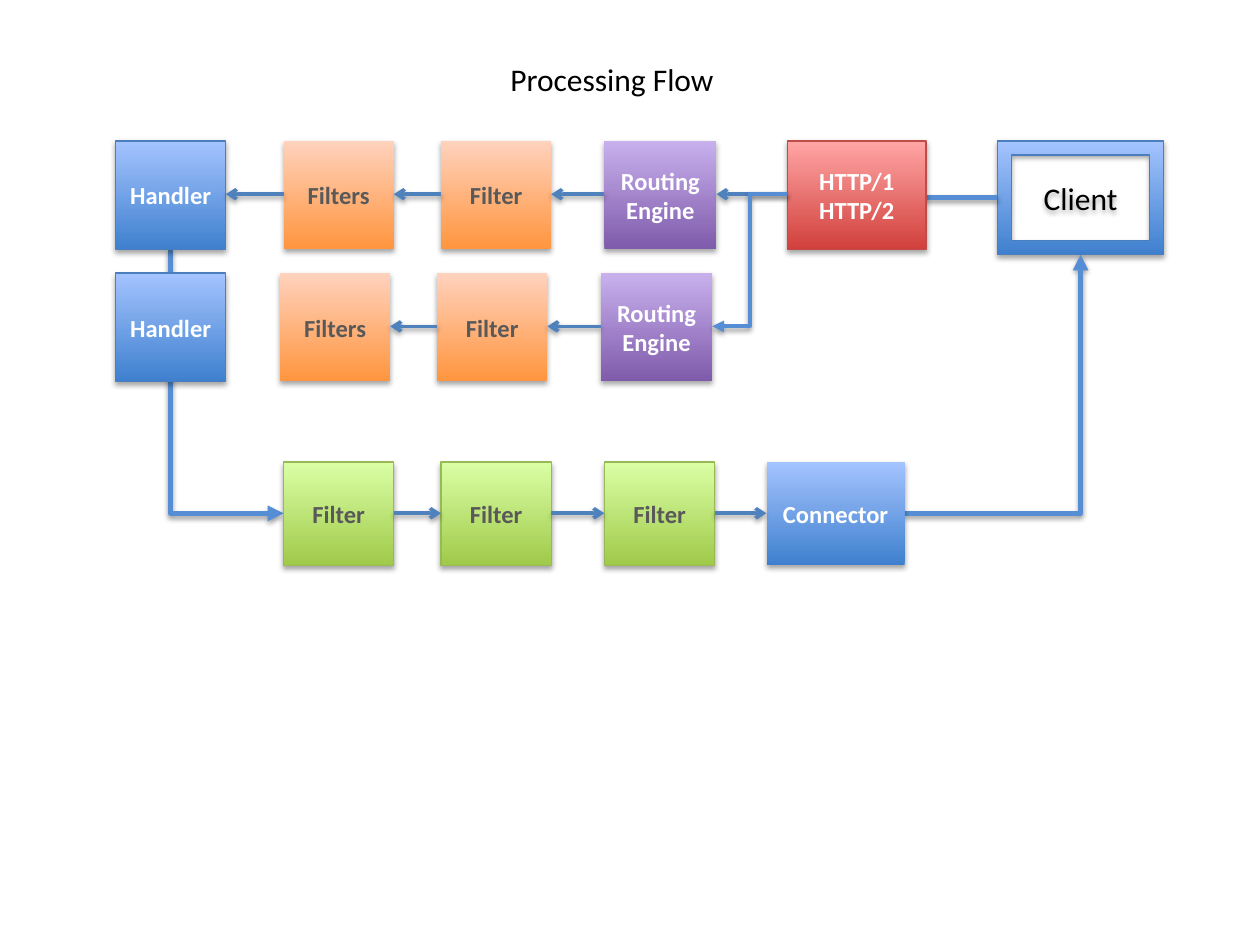
import pptx
import pptx.util
import pptx.dml.color
import pptx.enum.shapes
import pptx.enum.text
import pptx.oxml
import pptx.oxml.ns

Pt = pptx.util.Pt
SHAPE = pptx.enum.shapes.MSO_SHAPE
CONNECTOR = pptx.enum.shapes.MSO_CONNECTOR

THEME = {
    "font": "Calibri", "title_size": 18, "box_size": 14, "box_line": 0.75,
    "black": "000000", "arrow": "4F81BD", "route": "558ED5",
    # kind: bottom colour, top colour, outline, text colour
    "blue": ("3F80CE", "A4C4FF", "4B7EBC", "FFFFFF"),
    "plain_blue": ("3F80CE", "A4C4FF", None, "FFFFFF"),
    "orange": ("FF953E", "FFD2BD", None, "595959"),
    "purple": ("7F5BAB", "C8B0ED", None, "FFFFFF"),
    "red": ("D1403C", "FFA6A5", "BF4C48", "FFFFFF"),
    "green": ("A0CA4A", "DAFFA5", "98B955", "595959"),
}

TITLE = "Processing Flow"
CLIENT = ("Client", 570, 80.5, 95, 65)

# Each lane: top, box height, arrow height, flow direction, boxes (text, kind, left, width)
LANES = [
    (80.5, 62, 111, "left", [
        ("Handler", "blue", 66, 63), ("Filters", "orange", 162, 63),
        ("Filter", "orange", 252, 63), ("Routing\nEngine", "purple", 345.4, 64),
        ("HTTP/1\nHTTP/2", "red", 450, 79.2)]),
    (156, 62, 186.5, "left", [
        ("Filters", "orange", 160, 63), ("Filter", "orange", 249.8, 63),
        ("Routing\nEngine", "purple", 343.2, 64)]),
    (156, 62, 186.5, "left", [("Handler", "blue", 66, 63)]),
    (264, 59, 293.3, "right", [
        ("Filter", "green", 162, 63), ("Filter", "green", 252, 63),
        ("Filter", "green", 345.4, 63), ("Connector", "plain_blue", 438, 79)]),
]

# Preset, start, end, line width, arrowhead at start, arrowhead at end
ROUTES_BEHIND = [
    ("bentConnector3", (570, 113), (517, 113), 3, None, "triangle"),
    ("bentConnector2", (517, 293.3), (617.5, 145.5), 3, None, "triangle"),
    ("bentConnector2", (162, 293.3), (97.5, 142), 3, "triangle", None),
]
ROUTE_IN_FRONT = ("bentConnector3", (450, 111), (407, 186.5), 2.25, None, "triangle")


def rgb(value):
    return pptx.dml.color.RGBColor.from_string(value)


def add_shadow(shape, opacity, distance):
    """Put a soft shadow straight below the shape."""
    shape.shadow.inherit = False
    properties = shape._element.spPr
    effects = properties.find(pptx.oxml.ns.qn("a:effectLst"))
    if effects is None:
        effects = pptx.oxml.parse_xml(f'<a:effectLst {pptx.oxml.ns.nsdecls("a")}/>')
        properties.append(effects)
    effects.append(pptx.oxml.parse_xml(
        f'<a:outerShdw {pptx.oxml.ns.nsdecls("a")} blurRad="{Pt(3.1)}" dist="{Pt(distance)}" '
        f'dir="5400000" rotWithShape="0"><a:srgbClr val="{THEME["black"]}">'
        f'<a:alpha val="{opacity * 1000}"/></a:srgbClr></a:outerShdw>'))


def write(frame, text, size, color, bold=False, align="CENTER", anchor="MIDDLE", wrap=True):
    frame.word_wrap = wrap
    frame.vertical_anchor = pptx.enum.text.MSO_ANCHOR[anchor]
    paragraph = frame.paragraphs[0]
    paragraph.text = text.replace("\n", "\v")
    paragraph.alignment = pptx.enum.text.PP_ALIGN[align]
    for run in paragraph.runs:
        run.font.name = THEME["font"]
        run.font.size = Pt(size)
        run.font.bold = bold
        run.font.color.rgb = rgb(color)


def add_box(slide, preset, kind, left, top, width, height):
    bottom_color, top_color, outline, _ = THEME[kind]
    box = slide.shapes.add_shape(preset, Pt(left), Pt(top), Pt(width), Pt(height))
    box.fill.gradient()
    box.fill.gradient_angle = 90
    for stop, color in zip(box.fill.gradient_stops, (bottom_color, top_color)):
        stop.color.rgb = rgb(color)
    if outline:
        box.line.color.rgb = rgb(outline)
        box.line.width = Pt(THEME["box_line"])
    else:
        box.line.fill.background()
    add_shadow(box, 35, 1.8)
    return box


def add_line(slide, preset, start, end, width, head, tail, color):
    style = CONNECTOR.STRAIGHT if preset == "line" else CONNECTOR.ELBOW
    line = slide.shapes.add_connector(style, *(Pt(n) for n in start + end))
    properties = line._element.spPr
    properties.find(pptx.oxml.ns.qn("a:prstGeom")).set("prst", preset)
    if start[0] > end[0] and start[1] > end[1]:  # both flips are a half turn
        frame = properties.find(pptx.oxml.ns.qn("a:xfrm"))
        for flip in ("flipH", "flipV"):
            frame.attrib.pop(flip, None)
        frame.set("rot", "10800000")
    line.line.color.rgb = rgb(color)
    line.line.width = Pt(width)
    for end_name, arrowhead in (("headEnd", head), ("tailEnd", tail)):
        if arrowhead:
            line.line._get_or_add_ln().append(pptx.oxml.parse_xml(
                f'<a:{end_name} {pptx.oxml.ns.nsdecls("a")} type="{arrowhead}"/>'))
    add_shadow(line, 38, 1.6)


def add_lane(slide, top, height, arrow_y, direction, boxes):
    for text, kind, left, width in boxes:
        box = add_box(slide, SHAPE.RECTANGLE, kind, left, top, width, height)
        write(box.text_frame, text, THEME["box_size"], THEME[kind][3], bold=True)
    for (_, _, left, width), (_, _, next_left, _) in zip(boxes, boxes[1:]):
        gap = [(left + width, arrow_y), (next_left, arrow_y)]
        start, end = gap if direction == "right" else gap[::-1]
        add_line(slide, "line", start, end, 2, None, "arrow", THEME["arrow"])


def main():
    deck = pptx.Presentation()
    deck.slide_width, deck.slide_height = Pt(720), Pt(540)
    slide = deck.slides.add_slide(deck.slide_layouts[6])

    title = slide.shapes.add_textbox(Pt(284.5), Pt(31), Pt(132), Pt(29))
    write(title.text_frame, TITLE, THEME["title_size"], THEME["black"],
          align="LEFT", anchor="TOP", wrap=False)

    client_text, *client_place = CLIENT
    client = add_box(slide, SHAPE.FRAME, "blue", *client_place)
    write(client.text_frame, client_text, THEME["title_size"], THEME["black"])

    for route in ROUTES_BEHIND:
        add_line(slide, *route, THEME["route"])
    for lane in LANES:
        add_lane(slide, *lane)
    add_line(slide, *ROUTE_IN_FRONT, THEME["route"])

    deck.save("out.pptx")


if __name__ == "__main__":
    main()
